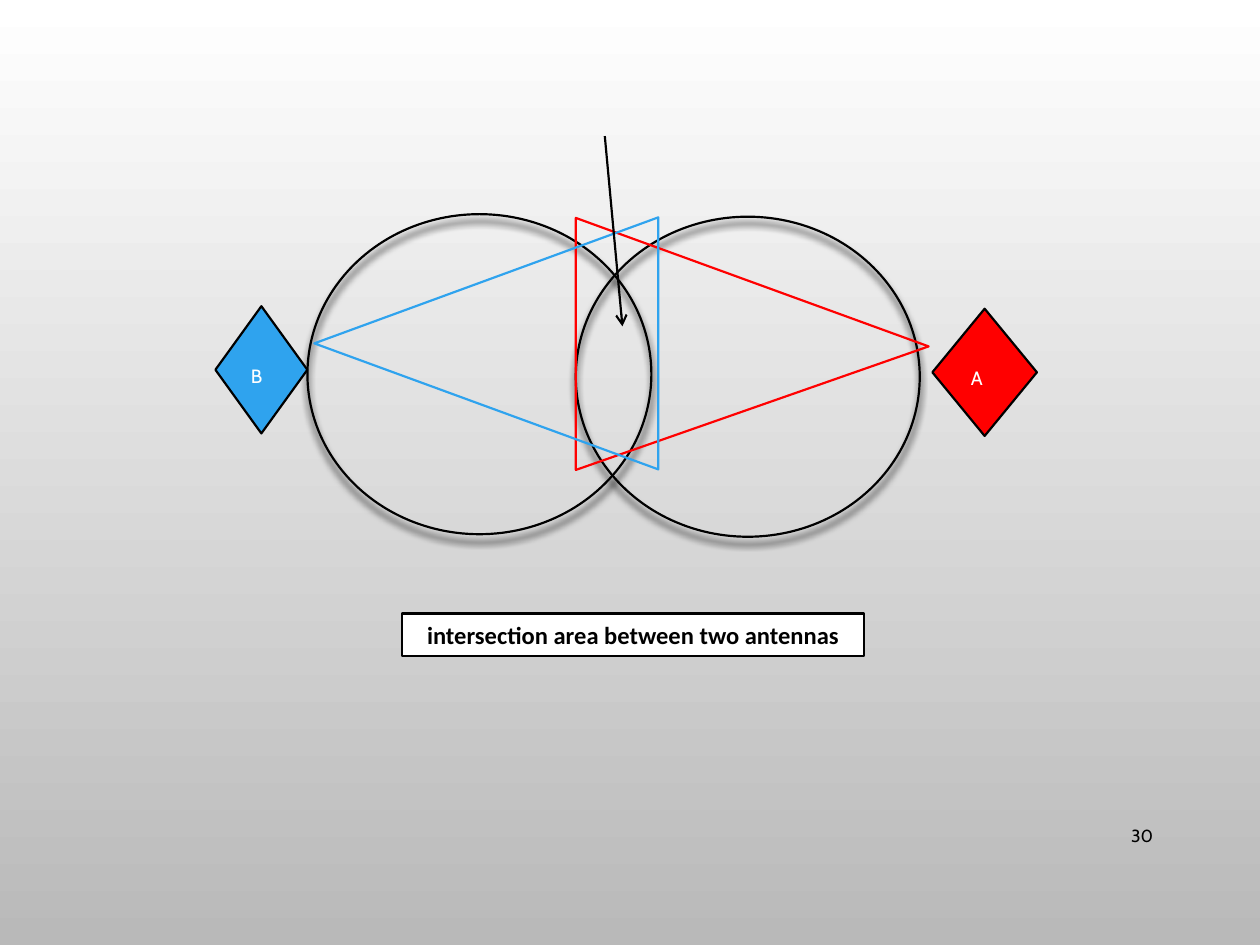
from lxml.etree import SubElement
from pptx import Presentation
from pptx.dml.color import RGBColor
from pptx.enum.shapes import MSO_CONNECTOR, MSO_SHAPE
from pptx.enum.text import MSO_ANCHOR, MSO_AUTO_SIZE, PP_ALIGN
from pptx.oxml.ns import qn
from pptx.util import Inches, Pt

# Content: lengths in inches
BLACK, WHITE, RED, BLUE = "000000", "FFFFFF", "FF0000", "2FA3EE"
BACKGROUND = (WHITE, "B9B9B9")
CAPTION = "intersection area between two antennas"
PAGE = "30"
COVERAGE = [(4.57, 1.72), (2.44, 1.7)]
COVERAGE_SIZE = (2.73, 2.54)
BEAMS = [  # box before rotation, rotation, apex share, colour
    ((4.97, 1.33, 2, 2.8), 90, 0.51, RED),
    ((2.86, 1.36, 2, 2.73), 270, 0.5, BLUE),
]
POINTER = (4.8, 1.08, 4.94, 2.59)
ANTENNAS = [
    ("A", (7.4, 2.45, 0.83, 1.01), RED),
    ("B", (1.71, 2.43, 0.73, 1.01), BLUE),
]
CAPTION_BOX = (3.19, 4.87, 3.67, 0.34)
PAGE_BOX = (8.62, 6.43, 0.63, 0.4)


def rgb(color):
    return RGBColor.from_string(color)


def inches(box):
    return [Inches(v) for v in box]


def add_outlined(kind, box, line=BLACK, fill=None):
    sp = slide.shapes.add_shape(kind, *inches(box))
    sp.shadow.inherit = False
    sp.line.color.rgb = rgb(line)
    sp.line.width = Pt(1.25)
    if fill:
        sp.fill.solid()
        sp.fill.fore_color.rgb = rgb(fill)
    else:
        sp.fill.background()
    return sp


def write(sp, text, size, font, color, align, bold=False, anchor=MSO_ANCHOR.MIDDLE):
    tf = sp.text_frame
    tf.word_wrap = True
    tf.vertical_anchor = anchor
    p = tf.paragraphs[0]
    p.alignment = align
    r = p.add_run()
    r.text = text
    r.font.size, r.font.name, r.font.bold = Pt(size), font, bold
    r.font.color.rgb = rgb(color)
    return p


def add_shadow(sp):
    effects = sp._element.spPr.find(qn("a:effectLst"))
    shadow = SubElement(effects, qn("a:outerShdw"), blurRad=str(Pt(4)),
                        dist=str(Pt(4)), dir="5400000", rotWithShape="0")
    SubElement(shadow, qn("a:srgbClr"), val=BLACK)


prs = Presentation()
prs.slide_width, prs.slide_height = inches((10, 7.5))
slide = prs.slides.add_slide(prs.slide_layouts[6])

# Background, running from top to bottom
fill = slide.background.fill
fill.gradient()
fill.gradient_angle = 270
for stop, color in zip(fill.gradient_stops, BACKGROUND):
    stop.color.rgb = rgb(color)

# Page number
write(slide.shapes.add_textbox(*inches(PAGE_BOX)), PAGE, 10, "Cabin", BLACK,
      PP_ALIGN.RIGHT)

# Coverage areas
for corner in COVERAGE:
    add_shadow(add_outlined(MSO_SHAPE.OVAL, corner + COVERAGE_SIZE))

# Beams
for box, rotation, apex, color in BEAMS:
    sp = add_outlined(MSO_SHAPE.ISOSCELES_TRIANGLE, box, color)
    sp.rotation = rotation
    sp.adjustments[0] = apex

# Arrow to the intersection
arrow = slide.shapes.add_connector(MSO_CONNECTOR.STRAIGHT, *inches(POINTER))
arrow.line.color.rgb = rgb(BLACK)
arrow.line.width = Pt(1.25)
SubElement(arrow.line._get_or_add_ln(), qn("a:tailEnd"), type="arrow")
SubElement(arrow._element.spPr, qn("a:effectLst"))

# Antennas
for name, box, color in ANTENNAS:
    sp = add_outlined(MSO_SHAPE.FLOWCHART_DECISION, box, fill=color)
    p = write(sp, name, 11, "Cabin", WHITE, PP_ALIGN.LEFT)
    p.line_spacing = 1.5
    p.space_before = p.space_after = Pt(6)

# Caption
sp = add_outlined(MSO_SHAPE.RECTANGLE, CAPTION_BOX, fill=WHITE)
write(sp, CAPTION, 14, "Calibri", BLACK, PP_ALIGN.CENTER, True, MSO_ANCHOR.TOP)
sp.text_frame.auto_size = MSO_AUTO_SIZE.SHAPE_TO_FIT_TEXT

prs.save("out.pptx")
